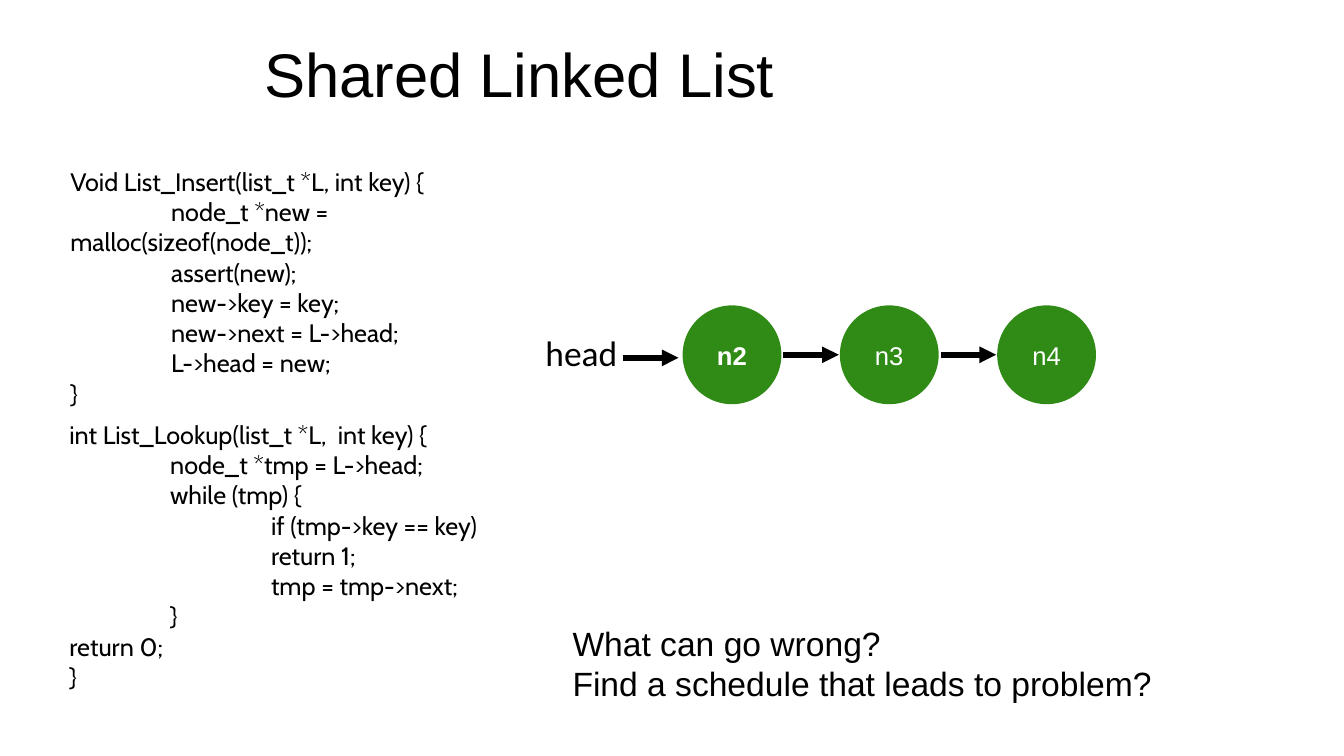
import pptx
import pptx.util
import pptx.dml.color
import pptx.enum.shapes
import pptx.enum.text
import lxml.etree
from pptx.util import Inches

DRAWING = "{http://schemas.openxmlformats.org/drawingml/2006/main}"


def color(value):
    return pptx.dml.color.RGBColor.from_string(value)


def write(frame, text, size=18, font="Arial", ink="000000", bold=None, align=None,
          spacing=None, anchor="TOP", wrap=True, insets=(0.1, 0.05), tabs=()):
    frame.word_wrap = wrap
    frame.vertical_anchor = getattr(pptx.enum.text.MSO_ANCHOR, anchor)
    frame.margin_left = frame.margin_right = Inches(insets[0])
    frame.margin_top = frame.margin_bottom = Inches(insets[1])
    frame.text = text
    for paragraph in frame.paragraphs:
        paragraph.alignment = align
        paragraph.line_spacing = spacing
        if tabs:
            properties = paragraph._p.get_or_add_pPr()
            stops = lxml.etree.SubElement(properties, DRAWING + "tabLst")
            for stop in tabs:
                lxml.etree.SubElement(stops, DRAWING + "tab",
                                      pos=str(Inches(stop)), algn="l")
        for run in paragraph.runs:
            run.font.size = pptx.util.Pt(size)
            run.font.name = font
            run.font.bold = bold
            run.font.color.rgb = color(ink)


class Diagram:
    node_fill = "308B16"
    arrow_ink = "000000"
    node_size = 0.98

    def __init__(self, slide):
        self.shapes = slide.shapes

    def text(self, left, top, width, height, content, **style):
        box = self.shapes.add_textbox(*map(Inches, (left, top, width, height)))
        write(box.text_frame, content, **style)

    def code(self, left, top, width, height, content):
        self.text(left, top, width, height, content, font="Cabin", tabs=(1, 2))

    def node(self, left, top, label, **style):
        circle = self.shapes.add_shape(
            pptx.enum.shapes.MSO_SHAPE.OVAL, Inches(left), Inches(top),
            Inches(self.node_size), Inches(self.node_size))
        circle.shadow.inherit = False
        circle.fill.solid()
        circle.fill.fore_color.rgb = color(self.node_fill)
        circle.line.fill.background()
        write(circle.text_frame, label, size=18.3, ink="FFFFFF", anchor="MIDDLE",
              align=pptx.enum.text.PP_ALIGN.CENTER, insets=(0, 0), **style)

    def arrow(self, left, y, length=0.55):
        link = self.shapes.add_connector(
            pptx.enum.shapes.MSO_CONNECTOR.STRAIGHT,
            Inches(left), Inches(y), Inches(left + length), Inches(y))
        link.line.width = pptx.util.Pt(4)
        link.line.color.rgb = color(self.arrow_ink)
        outline = link.line._get_or_add_ln()
        lxml.etree.SubElement(outline, DRAWING + "tailEnd", type="triangle")
        lxml.etree.SubElement(outline.getparent(), DRAWING + "effectLst")


INSERT_CODE = """Void List_Insert(list_t *L, int key) {
\tnode_t *new = malloc(sizeof(node_t));
\tassert(new);
\tnew->key = key;
\tnew->next = L->head;
\tL->head = new;
}"""

LOOKUP_CODE = """int List_Lookup(list_t *L,  int key) {
\tnode_t *tmp = L->head;
\twhile (tmp) {
\t\tif (tmp->key == key)
\t\treturn 1;
\t\ttmp = tmp->next;
\t}
return 0;
}"""

QUESTIONS = "What can go wrong?\nFind a schedule that leads to problem?"

deck = pptx.Presentation()
deck.slide_width, deck.slide_height = Inches(13.33), Inches(7.5)
diagram = Diagram(deck.slides.add_slide(deck.slide_layouts[6]))

diagram.text(2.52, 0.07, 8.29, 1.4, "Shared Linked List", size=44, spacing=0.9,
             anchor="MIDDLE")
diagram.text(5.37, 3.25, 0.8, 0.5, "head", size=25.3, font="Calibri",
             anchor="MIDDLE", wrap=False, insets=(0.04, 0.04))

first_node, node_step, node_top = 6.77, 1.56, 3.03
node_labels = ["n2", "n3", "n4"]
for index, label in enumerate(node_labels):
    node_left = first_node + index * node_step
    diagram.node(node_left, node_top, label, bold=index == 0)
    if index < len(node_labels) - 1:
        diagram.arrow(node_left + 1, 3.52)
diagram.arrow(6.18, 3.55)

diagram.code(0.6, 1.6, 5, 2.52, INSERT_CODE)
diagram.code(0.59, 4.11, 5, 3.13, LOOKUP_CODE)
diagram.text(5.58, 6.13, 6.01, 0.91, QUESTIONS, size=24, wrap=False)

deck.save("out.pptx")
